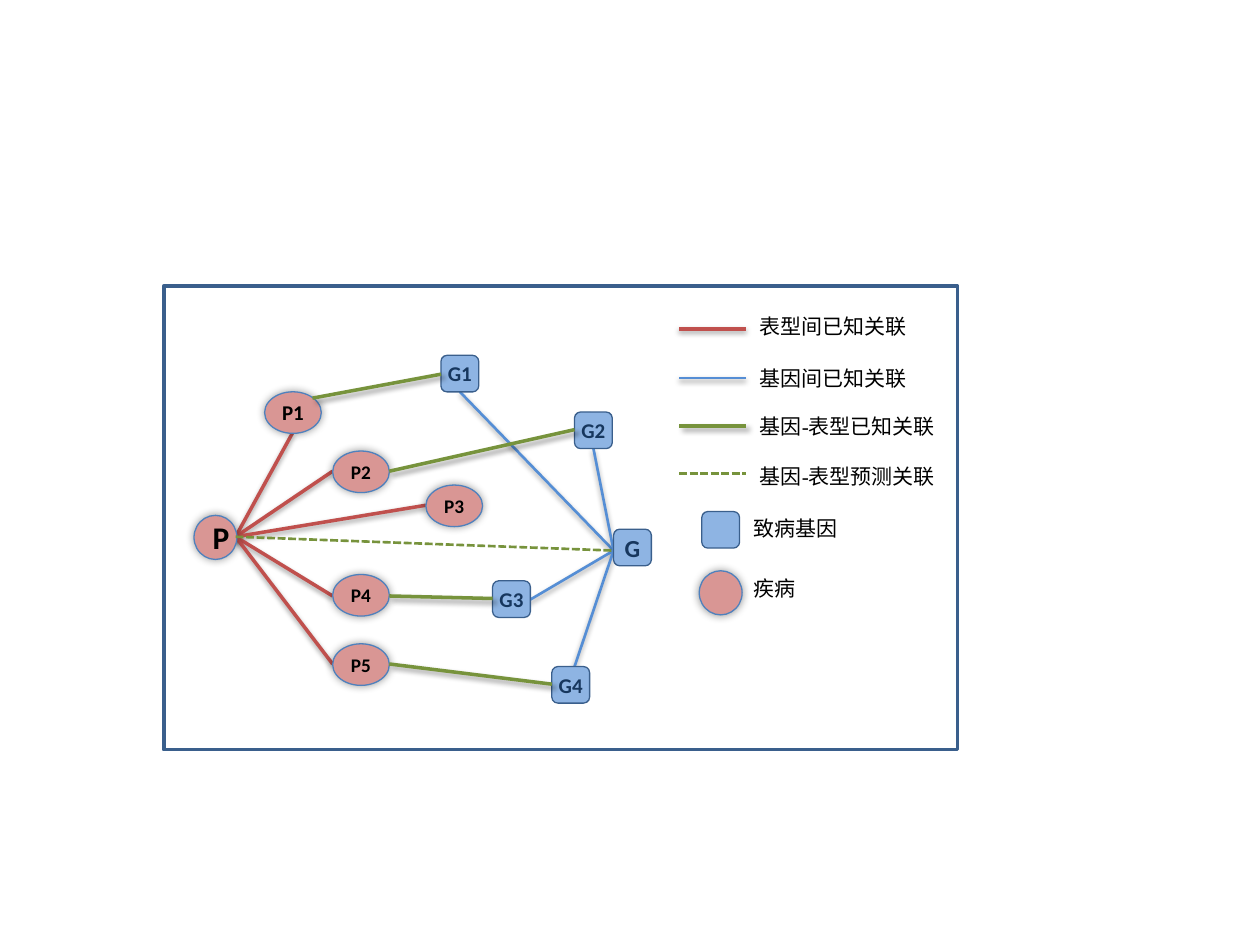
"""Gene and phenotype association network with its legend."""
from dataclasses import dataclass
from typing import Any, Optional

import lxml.etree
import pptx
import pptx.dml.color
import pptx.enum.dml
import pptx.enum.shapes
import pptx.enum.text
import pptx.oxml.ns
import pptx.util

Inches = pptx.util.Inches
Pt = pptx.util.Pt
SHAPE = pptx.enum.shapes.MSO_SHAPE
ALIGN = pptx.enum.text.PP_ALIGN
ANCHOR = pptx.enum.text.MSO_ANCHOR

COLORS = {
    "black": "000000", "navy": "17375E", "frame": "3A5F8C",
    "rose": "D99694", "rose_edge": "4F81BD", "gene": "8EB4E3",
    "red": "C0504D", "blue": "558ED5", "green": "77933C",
}
FLUSH = {"margin_left": 0, "margin_right": 0, "margin_top": 0, "margin_bottom": 0}


@dataclass(frozen=True)
class Shadow:
    """Outer shadow: opacity in percent, lengths in points, angle in degrees."""
    opacity: int
    blur: float
    distance: float
    angle: int


@dataclass(frozen=True)
class LinkStyle:
    """Look of one kind of association."""
    color: str
    width: float
    shadow: Optional[Shadow] = None
    dashed: bool = False


@dataclass(frozen=True)
class NodeStyle:
    """Look of one kind of network node."""
    preset: Any
    width: float
    height: float
    fill: str
    edge: str
    text: str
    shadow: Optional[Shadow] = None
    flush: bool = True


@dataclass(frozen=True)
class Node:
    """A node with its top left corner."""
    label: str
    style: NodeStyle
    left: float
    top: float
    size: int = 12


GLOW = Shadow(40, 5, 0, 0)
DROP = Shadow(38, 3.1, 1.6, 90)
PHENOTYPE_LINK = LinkStyle("red", 2, DROP)
GENE_LINK = LinkStyle("blue", 1.5, DROP)
KNOWN_LINK = LinkStyle("green", 2, Shadow(40, 3, 3, 45))
PREDICTED_LINK = LinkStyle("green", 1.5, dashed=True)
PHENOTYPE = NodeStyle(SHAPE.OVAL, 0.45, 0.33, "rose", "rose_edge", "black", GLOW)
DISEASE = NodeStyle(SHAPE.OVAL, 0.34, 0.35, "rose", "rose_edge", "black", GLOW, False)
GENE = NodeStyle(SHAPE.ROUNDED_RECTANGLE, 0.3, 0.29, "gene", "frame", "navy")

P_HUB = (1.87, 4.26)
G_HUB = (4.87, 4.37)
PHENOTYPE_ENDS = [(2.32, 3.44), (2.64, 3.74), (3.38, 4.01), (2.64, 4.73), (2.64, 5.27)]
GENE_ENDS = [(3.65, 3.11), (4.71, 3.56), (4.19, 4.77), (4.56, 5.29)]
KNOWN_PAIRS = [
    ((2.48, 3.16), (3.5, 2.97)), ((3.09, 3.74), (4.56, 3.41)),
    ((3.09, 4.73), (3.91, 4.75)), ((3.09, 5.27), (4.38, 5.43)),
]
NODES = [
    Node("P", DISEASE, 1.54, 4.09, 18),
    Node("P1", PHENOTYPE, 2.1, 3.11),
    Node("P2", PHENOTYPE, 2.64, 3.58, 11),
    Node("P3", PHENOTYPE, 3.38, 3.85, 11),
    Node("P4", PHENOTYPE, 2.64, 4.56, 11),
    Node("P5", PHENOTYPE, 2.64, 5.11, 11),
    Node("G", GENE, 4.87, 4.2, 14),
    Node("G1", GENE, 3.5, 2.82),
    Node("G2", GENE, 4.56, 3.27),
    Node("G3", GENE, 3.91, 4.61),
    Node("G4", GENE, 4.38, 5.29),
    Node("", GENE, 5.57, 4.06),
    Node("", DISEASE, 5.55, 4.53),
]
LEGEND_LINKS = [
    (PHENOTYPE_LINK, 2.61), (GENE_LINK, 3), (KNOWN_LINK, 3.38), (PREDICTED_LINK, 3.76),
]
LEGEND_TEXTS = [
    ("表型间已知关联", 6.03, 2.49, 1.68), ("基因间已知关联", 6.03, 2.9, 1.68),
    ("基因-表型已知关联", 6.03, 3.28, 1.68), ("基因-表型预测关联", 6.03, 3.68, 1.68),
    ("致病基因", 5.98, 4.09, 0.88), ("疾病", 5.98, 4.57, 1.8),
]


def rgb(name: str) -> pptx.dml.color.RGBColor:
    """Look up a named colour."""
    return pptx.dml.color.RGBColor.from_string(COLORS[name])


def apply(target: Any, values: dict) -> None:
    """Set each attribute of the target from the values."""
    for name, value in values.items():
        setattr(target, name, value)


def set_line(item: Any, color: str, width: float) -> None:
    """Set the outline colour and width."""
    item.line.color.rgb = rgb(color)
    item.line.width = Pt(width)


def set_shadow(item: Any, shadow: Optional[Shadow]) -> None:
    """Replace the theme effects by one shadow or by none; call after set_line."""
    qn = pptx.oxml.ns.qn
    effects = lxml.etree.SubElement(item.element.spPr, qn("a:effectLst"))
    if shadow is None:
        return
    outer = lxml.etree.SubElement(
        effects, qn("a:outerShdw"), blurRad=str(int(Pt(shadow.blur))),
        dist=str(int(Pt(shadow.distance))), dir=str(shadow.angle * 60000),
        rotWithShape="0")
    color = lxml.etree.SubElement(outer, qn("a:srgbClr"), val=COLORS["black"])
    lxml.etree.SubElement(color, qn("a:alpha"), val=str(shadow.opacity * 1000))


def write(box: Any, text: str, align: Any, font: dict, color: str) -> None:
    """Write one formatted paragraph into a shape."""
    para = box.text_frame.paragraphs[0]
    para.alignment = align
    span = para.add_run()
    span.text = text
    apply(span.font, font)
    span.font.color.rgb = rgb(color)


def add_frame(page: Any) -> None:
    """Draw the border around the diagram."""
    frame = page.shapes.add_shape(
        SHAPE.RECTANGLE, Inches(1.3), Inches(2.27), Inches(6.3), Inches(3.68))
    frame.fill.background()
    set_line(frame, "frame", 2)
    set_shadow(frame, None)


def add_link(page: Any, style: LinkStyle, start: tuple, end: tuple) -> None:
    """Draw one association line."""
    link = page.shapes.add_connector(
        pptx.enum.shapes.MSO_CONNECTOR.STRAIGHT,
        *(Inches(value) for value in (*start, *end)))
    set_line(link, style.color, style.width)
    if style.dashed:
        link.line.dash_style = pptx.enum.dml.MSO_LINE.SQUARE_DOT
    set_shadow(link, style.shadow)


def add_node(page: Any, node: Node) -> None:
    """Draw one node with its label."""
    style = node.style
    box = page.shapes.add_shape(
        style.preset, Inches(node.left), Inches(node.top),
        Inches(style.width), Inches(style.height))
    box.fill.solid()
    box.fill.fore_color.rgb = rgb(style.fill)
    set_line(box, style.edge, 0.75)
    set_shadow(box, style.shadow)
    if node.label:
        apply(box.text_frame, {"vertical_anchor": ANCHOR.MIDDLE, **(FLUSH if style.flush else {})})
        font = {"name": "Calibri", "size": Pt(node.size), "bold": True}
        write(box, node.label, ALIGN.CENTER, font, style.text)


def add_legend_text(page: Any, text: str, left: float, top: float, width: float) -> None:
    """Write one legend entry."""
    box = page.shapes.add_textbox(Inches(left), Inches(top), Inches(width), Inches(0.2))
    apply(box.text_frame, {"word_wrap": True, **FLUSH,
                           "auto_size": pptx.enum.text.MSO_AUTO_SIZE.SHAPE_TO_FIT_TEXT})
    write(box, text, ALIGN.LEFT, {"name": "Times New Roman", "size": Pt(12)}, "black")


def main() -> None:
    """Build and save the slide."""
    deck = pptx.Presentation()
    apply(deck, {"slide_width": Inches(10), "slide_height": Inches(7.5)})
    page = deck.slides.add_slide(deck.slide_layouts[6])
    add_frame(page)
    for end in PHENOTYPE_ENDS:
        add_link(page, PHENOTYPE_LINK, end, P_HUB)
    for end in GENE_ENDS:
        add_link(page, GENE_LINK, G_HUB, end)
    for node in NODES:
        add_node(page, node)
    add_link(page, PREDICTED_LINK, P_HUB, G_HUB)
    for start, end in KNOWN_PAIRS:
        add_link(page, KNOWN_LINK, start, end)
    for style, top in LEGEND_LINKS:
        add_link(page, style, (5.39, top), (5.92, top))
    for entry in LEGEND_TEXTS:
        add_legend_text(page, *entry)
    deck.save("out.pptx")


main()
